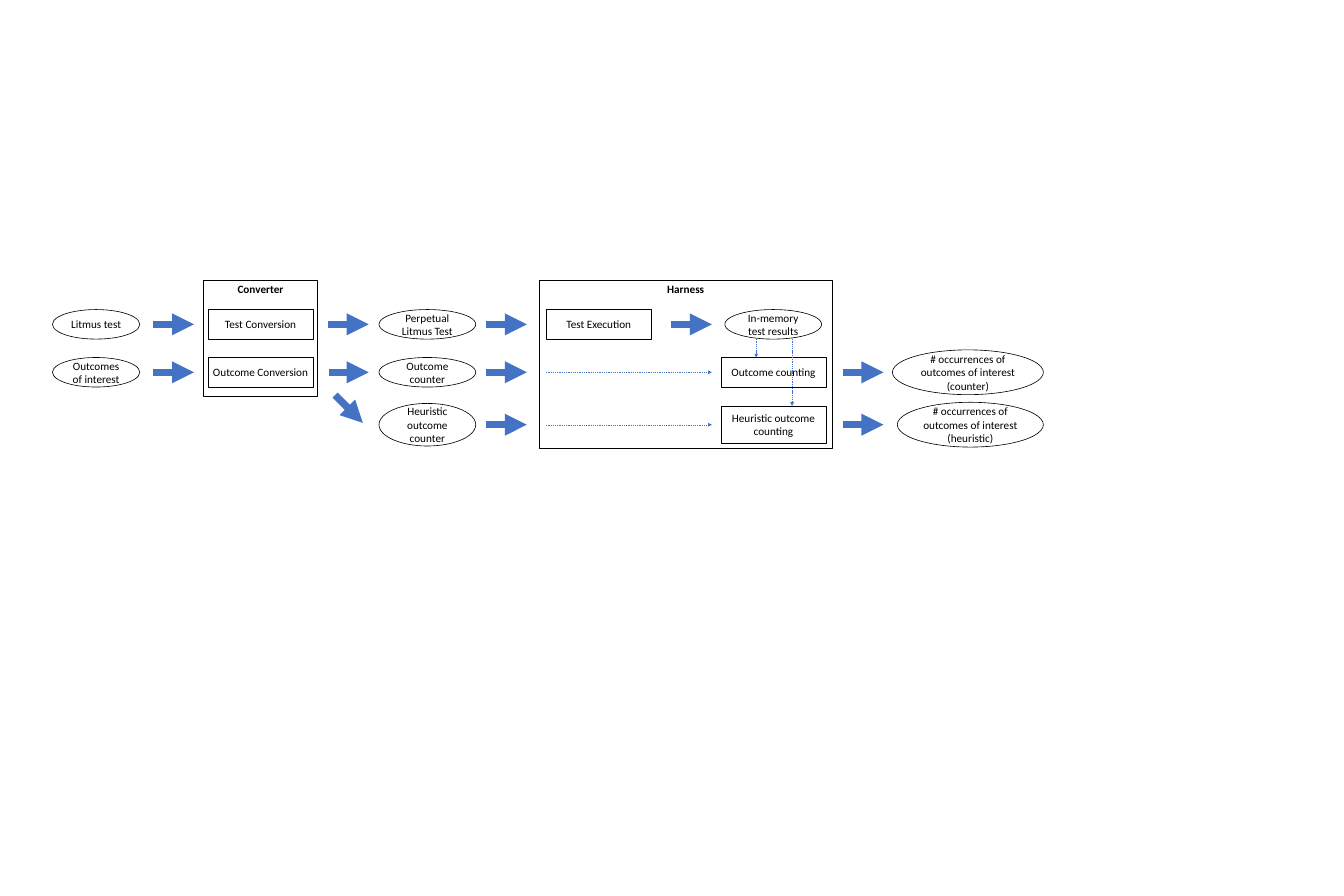
"""Draw the litmus test conversion and counting pipeline."""
from dataclasses import dataclass

import pptx
import pptx.dml.color
import pptx.enum.dml
import pptx.enum.shapes
import pptx.enum.text
import pptx.oxml
import pptx.oxml.ns
import pptx.util

Inches = pptx.util.Inches
RGB = pptx.dml.color.RGBColor
RECT = pptx.enum.shapes.MSO_SHAPE.RECTANGLE
OVAL = pptx.enum.shapes.MSO_SHAPE.OVAL
ANCHOR = pptx.enum.text.MSO_ANCHOR


@dataclass(frozen=True)
class Theme:
    font: str = "Calibri"
    size: float = 18
    ink: RGB = RGB(0, 0, 0)
    paper: RGB = RGB(255, 255, 255)
    accent: RGB = RGB(0x44, 0x72, 0xC4)
    outline: float = 1
    block: float = 11.75
    thin: float = 0.5


@dataclass(frozen=True)
class Panel:
    title: str
    left: float
    width: float
    height: float


@dataclass(frozen=True)
class Node:
    text: str
    kind: pptx.enum.shapes.MSO_SHAPE
    left: float
    row: float
    width: float
    height: float = 0.66


@dataclass(frozen=True)
class Arrow:
    x1: float
    y1: float
    x2: float
    y2: float
    dashed: bool = False


THEME = Theme()
PANEL_TOP = 6.25
TEST, OUTCOME, HEURISTIC = 7.24, 8.31, 9.48
INPUT_W, OVAL_W, STEP_W = 1.95, 2.16, 2.35
INPUT_X, CONVERT_X, COUNTER_X, EXECUTE_X, COUNT_X = 1.17, 4.64, 8.46, 12.19, 16.09
BLOCK_LENGTH = 0.91
FLOW_END = 15.89
RESULTS_BOTTOM = TEST + 0.33

PANELS = [
    Panel("Converter", 4.54, 2.55, 2.6),
    Panel("Harness", 12.03, 6.55, 3.75),
]
NODES = [
    Node("Litmus test", OVAL, INPUT_X, TEST, INPUT_W),
    Node("Outcomes of interest", OVAL, INPUT_X, OUTCOME, INPUT_W),
    Node("Test Conversion", RECT, CONVERT_X, TEST, STEP_W),
    Node("Outcome Conversion", RECT, CONVERT_X, OUTCOME, STEP_W),
    Node("Perpetual Litmus Test", OVAL, COUNTER_X, TEST, OVAL_W),
    Node("Outcome counter", OVAL, COUNTER_X, OUTCOME, OVAL_W),
    Node("Heuristic outcome counter", OVAL, COUNTER_X, HEURISTIC, OVAL_W, 0.95),
    Node("Test Execution", RECT, EXECUTE_X, TEST, STEP_W),
    Node("In-memory test results", OVAL, 16.18, TEST, OVAL_W),
    Node("Outcome counting", RECT, COUNT_X, OUTCOME, STEP_W),
    Node("Heuristic outcome counting", RECT, COUNT_X, HEURISTIC, STEP_W, 0.81),
    Node("# occurrences of outcomes of interest (counter)", OVAL, 19.92, OUTCOME, 3.37, 1),
    Node("# occurrences of outcomes of interest (heuristic)", OVAL, 20.03, HEURISTIC, 3.26, 1),
]
BLOCK_STARTS = {
    3.42: (TEST, OUTCOME),
    7.32: (TEST,),
    10.85: (TEST, OUTCOME, HEURISTIC),
    14.98: (TEST,),
    18.81: (OUTCOME, HEURISTIC),
}
ARROWS = [
    *(Arrow(x, y, x + BLOCK_LENGTH, y) for x, rows in BLOCK_STARTS.items() for y in rows),
    Arrow(7.35, OUTCOME, 8.23, OUTCOME),
    Arrow(7.48, 8.82, 8.1, 9.44),
    *(Arrow(EXECUTE_X, y, FLOW_END, y, True) for y in (OUTCOME, HEURISTIC)),
    Arrow(16.88, RESULTS_BOTTOM, 16.88, 7.98, True),
    Arrow(17.68, RESULTS_BOTTOM, 17.68, 9.06, True),
]


def add_box(s: pptx.slide.Slide, kind: pptx.enum.shapes.MSO_SHAPE, text: str, left: float,
            top: float, width: float, height: float) -> pptx.shapes.autoshape.Shape:
    """Add an outlined shape with centred text."""
    sp = s.shapes.add_shape(kind, Inches(left), Inches(top), Inches(width), Inches(height))
    sp.shadow.inherit = False
    sp.line.color.rgb = THEME.ink
    sp.line.width = pptx.util.Pt(THEME.outline)
    tf = sp.text_frame
    tf.word_wrap = True
    p = tf.paragraphs[0]
    p.text = text
    p.alignment = pptx.enum.text.PP_ALIGN.CENTER
    p.font.name = THEME.font
    p.font.size = pptx.util.Pt(THEME.size)
    p.font.color.rgb = THEME.ink
    return sp


def add_panel(s: pptx.slide.Slide, panel: Panel) -> None:
    """Add an unfilled frame with a bold title at its top."""
    sp = add_box(s, RECT, panel.title, panel.left, PANEL_TOP, panel.width, panel.height)
    sp.fill.background()
    sp.text_frame.vertical_anchor = ANCHOR.TOP
    sp.text_frame.paragraphs[0].font.bold = True


def add_node(s: pptx.slide.Slide, node: Node) -> None:
    """Add a filled step or data node centred on its row."""
    top = node.row - node.height / 2
    sp = add_box(s, node.kind, node.text, node.left, top, node.width, node.height)
    sp.fill.solid()
    sp.fill.fore_color.rgb = THEME.paper
    sp.text_frame.vertical_anchor = ANCHOR.MIDDLE


def add_arrow(s: pptx.slide.Slide, arrow: Arrow) -> None:
    """Add a thick or thin dashed connector with a triangular head."""
    c = s.shapes.add_connector(
        pptx.enum.shapes.MSO_CONNECTOR.STRAIGHT,
        Inches(arrow.x1), Inches(arrow.y1), Inches(arrow.x2), Inches(arrow.y2))
    c.line.color.rgb = THEME.accent
    c.line.width = pptx.util.Pt(THEME.thin if arrow.dashed else THEME.block)
    if arrow.dashed:
        c.line.dash_style = pptx.enum.dml.MSO_LINE.DASH
    ns = pptx.oxml.ns.nsdecls("a")
    ln = c.line._get_or_add_ln()
    ln.append(pptx.oxml.parse_xml(f'<a:tailEnd {ns} type="triangle"/>'))
    ln.addnext(pptx.oxml.parse_xml(f"<a:effectLst {ns}/>"))


def main() -> None:
    """Build and save the slide."""
    prs = pptx.Presentation()
    prs.slide_width, prs.slide_height = Inches(30), Inches(20)
    s = prs.slides.add_slide(prs.slide_layouts[6])
    for panel in PANELS:
        add_panel(s, panel)
    for node in NODES:
        add_node(s, node)
    for arrow in ARROWS:
        add_arrow(s, arrow)
    prs.save("out.pptx")


if __name__ == "__main__":
    main()
